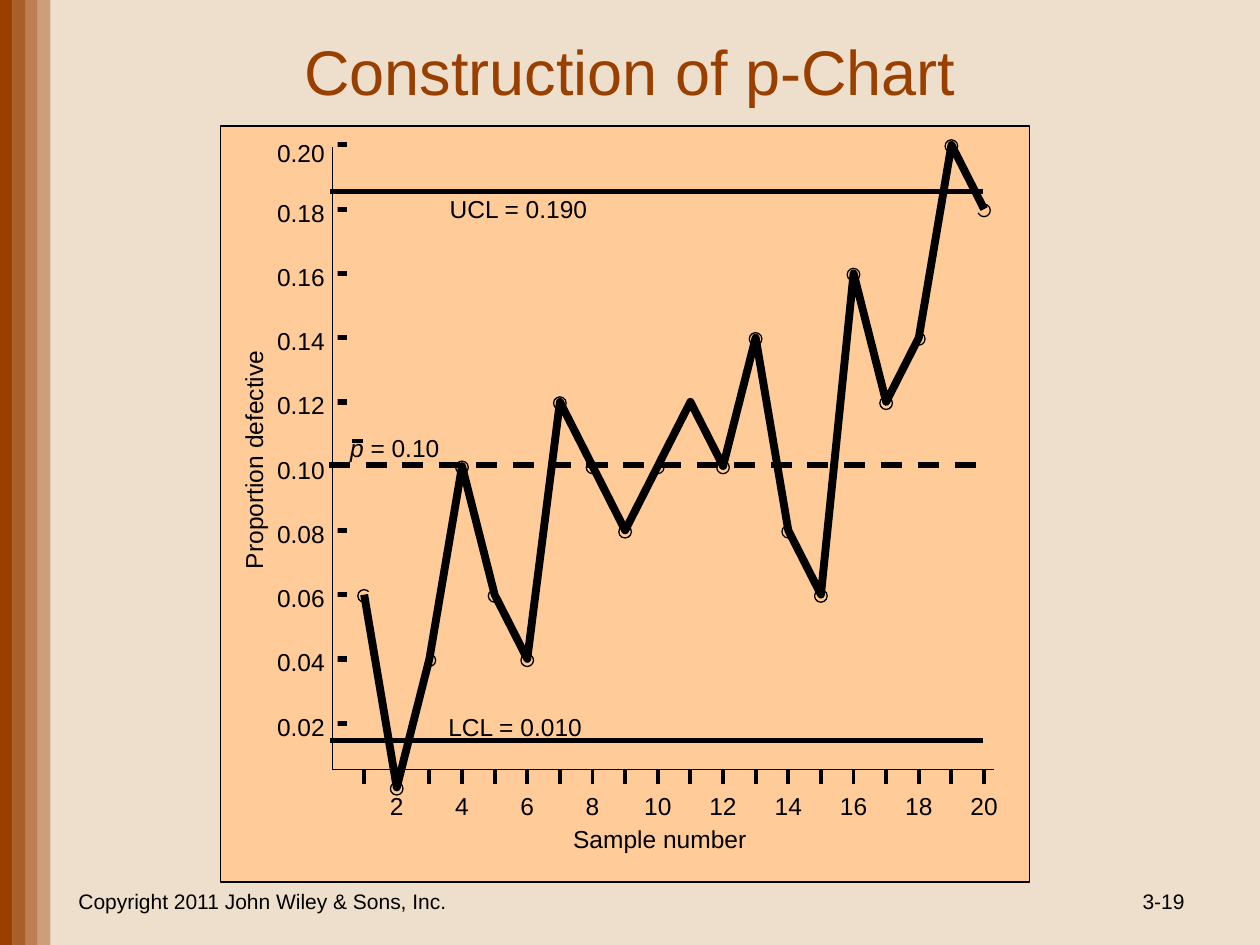
import dataclasses

import lxml.etree
import pptx
import pptx.dml.color
import pptx.enum.dml
import pptx.enum.shapes
import pptx.enum.text
import pptx.oxml.ns
import pptx.util

Inches = pptx.util.Inches
Pt = pptx.util.Pt
SHAPE = pptx.enum.shapes.MSO_SHAPE
ALIGN = pptx.enum.text.PP_ALIGN
ANCHOR = pptx.enum.text.MSO_ANCHOR
qn = pptx.oxml.ns.qn


@dataclasses.dataclass
class Theme:
    font: str = "Arial"
    background: str = "EEDFCC"
    accent: str = "994000"
    panel: str = "FFCC99"
    ink: str = "000000"
    title: float = 36
    label: float = 14
    footer: float = 12


class Canvas:
    """Holds the theme, the slide and the shape collection being drawn on."""

    def __init__(self, prs, theme):
        self.theme = theme
        self.slide = prs.slides.add_slide(prs.slide_layouts[5])
        self.shapes = self.slide.shapes
        self.fill(self.slide.background, theme.background)

    def color(self, value):
        return pptx.dml.color.RGBColor.from_string(value)

    def fill(self, target, color):
        target.fill.solid()
        target.fill.fore_color.rgb = self.color(color)

    def outline(self, sp, width):
        if width:
            sp.line.color.rgb = self.color(self.theme.ink)
            sp.line.width = Pt(width)
        else:
            sp.line.fill.background()

    def shape(self, kind, x, y, w, h, color, line=None, alpha=None):
        sp = self.shapes.add_shape(kind, Inches(x), Inches(y), Inches(w), Inches(h))
        sp.shadow.inherit = False
        self.fill(sp, color)
        self.outline(sp, line)
        if alpha:
            clr = sp._element.spPr.find(qn("a:solidFill")).find(qn("a:srgbClr"))
            lxml.etree.SubElement(clr, qn("a:alpha")).set("val", str(alpha * 1000))
        return sp

    def line(self, x1, y1, x2, y2, width, dash=None):
        cx = self.shapes.add_connector(
            pptx.enum.shapes.MSO_CONNECTOR.STRAIGHT,
            Inches(x1), Inches(y1), Inches(x2), Inches(y2))
        self.outline(cx, width)
        if dash:
            cx.line.dash_style = dash
        lxml.etree.SubElement(cx._element.spPr, qn("a:effectLst"))

    def polyline(self, points, color, width):
        emu = [(Inches(x), Inches(y)) for x, y in points]
        builder = self.shapes.build_freeform(*emu[0])
        builder.add_line_segments(emu[1:], close=False)
        sp = builder.convert_to_shape()
        sp.shadow.inherit = False
        self.fill(sp, color)
        self.outline(sp, width)

    def text(self, sp, runs, size, align, color=None, wrap=True):
        tf = sp.text_frame
        tf.word_wrap = wrap
        tf.vertical_anchor = ANCHOR.MIDDLE
        p = tf.paragraphs[0]
        p.alignment = align
        for words, italic in runs:
            r = p.add_run()
            r.text = words
            r.font.name = self.theme.font
            r.font.size = Pt(size)
            r.font.italic = italic
            r.font.color.rgb = self.color(color or self.theme.ink)

    def title(self, words, x, y, w, h):
        sp = self.slide.shapes.title
        sp.left, sp.top, sp.width, sp.height = map(Inches, (x, y, w, h))
        self.text(sp, [(words, None)], self.theme.title, ALIGN.CENTER, self.theme.accent)

    def footer(self, words, x, y, w, h, align):
        sp = self.shapes.add_textbox(Inches(x), Inches(y), Inches(w), Inches(h))
        self.text(sp, [(words, None)], self.theme.footer, align)

    def label(self, runs, x, y, w, align=ALIGN.LEFT, rotation=0):
        sp = self.shape(SHAPE.RECTANGLE, x, y, w, 0.33, self.theme.panel)
        sp.rotation = rotation
        runs = [(runs, None)] if isinstance(runs, str) else runs
        self.text(sp, runs, self.theme.label, align, wrap=False)
        sp.text_frame.auto_size = pptx.enum.text.MSO_AUTO_SIZE.SHAPE_TO_FIT_TEXT


PROPORTIONS = [0.06, 0, 0.04, 0.10, 0.06, 0.04, 0.12, 0.10, 0.08, 0.10,
               0.12, 0.10, 0.14, 0.08, 0.06, 0.16, 0.12, 0.14, 0.20, 0.18]
AXIS_X, AXIS_Y = 2.64, 6.11


def sample_x(number):
    return 2.89 + (number - 1) * 4.92 / 19


def value_y(value):
    return 6.25 - 25.5 * value


def draw_p_chart(s):
    t = s.theme
    samples = range(1, len(PROPORTIONS) + 1)

    # Panel, sample ticks and the band between the limits
    s.shape(SHAPE.RECTANGLE, 1.75, 1, 6.42, 6, t.panel, line=0.75)
    for n in samples:
        s.line(sample_x(n), 6.22, sample_x(n), AXIS_Y, 2.25)
    s.shape(SHAPE.RECTANGLE, 2.61, 1.52, 5.21, 4.37, t.panel)

    # Proportion ticks (the centre line stands in for 0.10) and labels
    levels = [0.02 * i for i in range(1, 11)]
    for i, value in enumerate(levels, 1):
        if i != 5:
            s.line(2.66, value_y(value), 2.75, value_y(value), 3)
    for value in levels:
        s.label(f"{value:.2f}", 2.1, max(value_y(value) - 0.14, 1.05), 0.58)

    # Axis titles and sample numbers
    s.label("Proportion defective", 1.04, 3.48, 1.94, rotation=270)
    s.label("Sample number", 4.45, 6.49, 1.58)
    for n in samples[1::2]:
        w = 0.31 if n < 10 else 0.42
        s.label(str(n), sample_x(n) - w / 2, 6.23, w, ALIGN.CENTER)

    # Limit labels, with the bar over p
    s.label("UCL = 0.190", 3.47, 1.49, 1.31)
    s.label("LCL = 0.010", 3.46, 5.6, 1.28)
    s.label([("p", True), (" = 0.10", False)], 2.68, 3.39, 0.92)
    s.line(2.79, 3.5, 2.88, 3.5, 2.25)

    # Markers and data line
    points = [(sample_x(n), value_y(v)) for n, v in zip(samples, PROPORTIONS)]
    for x, y in points:
        s.shape(SHAPE.OVAL, x - 0.05, y - 0.04, 0.1, 0.1, t.panel, line=0.75)
    s.polyline(points, t.panel, 4.5)

    # Control limits, centre line and axes
    s.line(2.62, 1.52, 7.8, 1.52, 3)
    s.line(2.62, 5.88, 7.8, 5.88, 3)
    s.line(2.61, 3.69, 7.79, 3.69, 3, pptx.enum.dml.MSO_LINE.DASH)
    s.line(AXIS_X, 1.17, AXIS_X, AXIS_Y, 0.75)
    s.line(AXIS_X, AXIS_Y, 7.89, AXIS_Y, 0.75)


def main():
    prs = pptx.Presentation()
    prs.slide_width, prs.slide_height = Inches(10), Inches(7.5)
    s = Canvas(prs, Theme())

    # Fading stripes on the left edge
    for i, alpha in enumerate((None, 80, 60, 40)):
        s.shape(SHAPE.RECTANGLE, 0.1 * i, 0, 0.1, 7.5, s.theme.accent, alpha=alpha)

    # Title and footer
    s.title("Construction of p-Chart", 0.38, 0.14, 9.24, 0.83)
    s.footer("Copyright 2011 John Wiley & Sons, Inc.", 0.5, 6.95, 3.17, 0.4, ALIGN.CENTER)
    s.footer("3-19", 7.17, 6.95, 2.33, 0.4, ALIGN.RIGHT)

    # Control chart, kept together as one group
    s.shapes = s.slide.shapes.add_group_shape().shapes
    draw_p_chart(s)
    prs.save("out.pptx")


if __name__ == "__main__":
    main()
